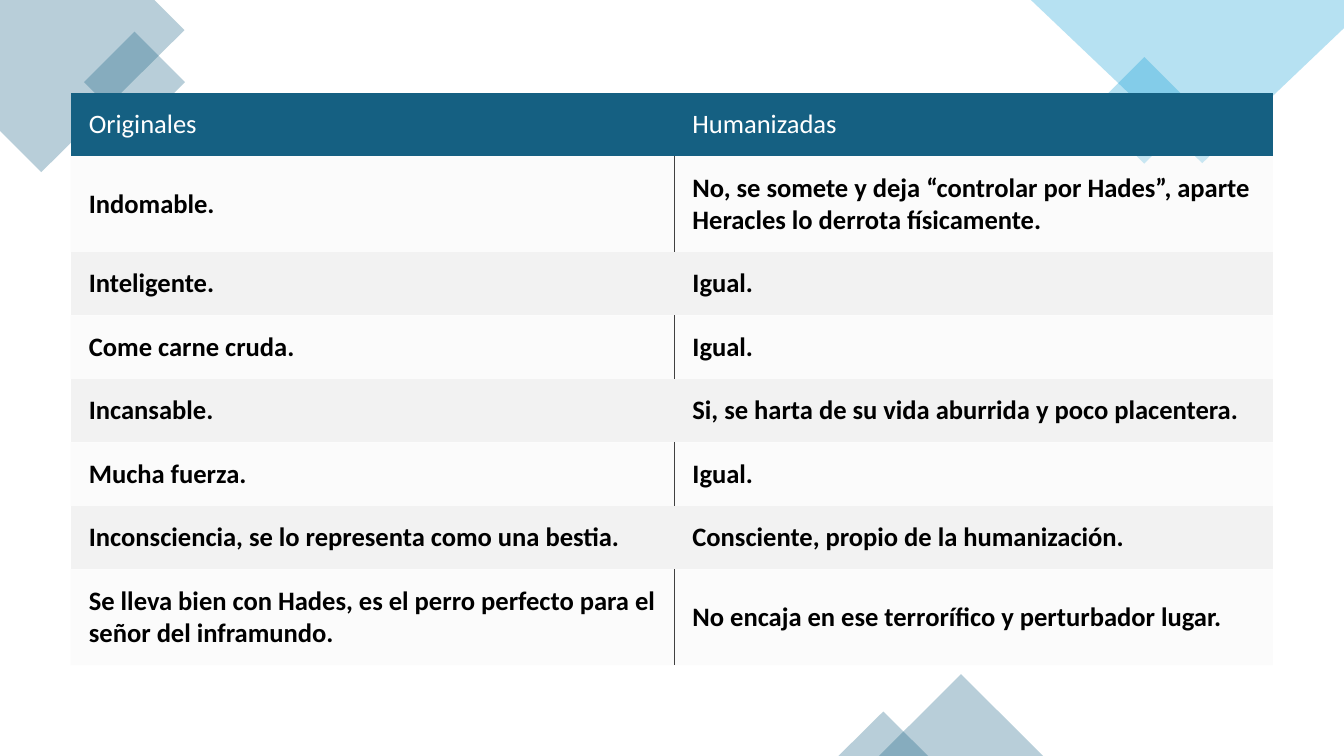
from lxml import etree
from pptx import Presentation
from pptx.dml.color import RGBColor
from pptx.enum.shapes import MSO_SHAPE
from pptx.enum.text import MSO_ANCHOR
from pptx.oxml.ns import qn
from pptx.util import Cm, Pt

RECTANGLE = MSO_SHAPE.RECTANGLE
TRIANGLE = MSO_SHAPE.ISOSCELES_TRIANGLE
MIDDLE = MSO_ANCHOR.MIDDLE

TEAL = RGBColor(0x15, 0x60, 0x82)
SKY = RGBColor(0x0F, 0x9E, 0xD5)
GREY = RGBColor(0xF2, 0xF2, 0xF2)
DARK = RGBColor(0x40, 0x40, 0x40)
WHITE = RGBColor(0xFF, 0xFF, 0xFF)
BLACK = RGBColor(0, 0, 0)

NO_STYLE = "{2D5ABB26-0587-4C30-8999-92F81FD0307C}"
ALPHA = "30000"

ROWS = [
    ("Originales", "Humanizadas"),
    ("Indomable.", "No, se somete y deja “controlar por Hades”, aparte Heracles lo derrota físicamente."),
    ("Inteligente.", "Igual."),
    ("Come carne cruda.", "Igual."),
    ("Incansable.", "Si, se harta de su vida aburrida y poco placentera."),
    ("Mucha fuerza.", "Igual."),
    ("Inconsciencia, se lo representa como una bestia.", "Consciente, propio de la humanización."),
    ("Se lleva bien con Hades, es el perro perfecto para el señor del inframundo.",
     "No encaja en ese terrorífico y perturbador lugar."),
]
COLUMN_WIDTHS = (15.21, 15.09)
ROW_HEIGHT, TALL_ROW_HEIGHT = 1.6, 2.41
TALL_ROWS = (1, 7)


def set_format(target, values):
    for name, value in values.items():
        setattr(target, name, value)


class SlideBuilder:
    cell_format = {
        "vertical_anchor": MIDDLE,
        "margin_left": Cm(0.46),
        "margin_top": Cm(0.35),
        "margin_right": 0,
        "margin_bottom": Cm(0.35),
    }
    font_format = {"name": "Calibri", "size": Pt(19)}

    def __init__(self, s):
        self.s = s

    def fill(self, target, color, translucent):
        target.fill.solid()
        target.fill.fore_color.rgb = color
        if translucent:
            for clr in target.fill._xPr.find(qn("a:solidFill")):
                etree.SubElement(clr, qn("a:alpha"), val=ALPHA)

    def decorate(self, sp, color):
        sp.shadow.inherit = False
        sp.line.fill.background()
        self.fill(sp, color, True)

    def shape(self, kind, left, top, width, height, color, rotation=0):
        sp = self.s.shapes.add_shape(kind, Cm(left), Cm(top), Cm(width), Cm(height))
        sp.rotation = rotation
        self.decorate(sp, color)

    def polygon(self, points, color):
        start, *rest = [(Cm(x), Cm(y)) for x, y in points]
        builder = self.s.shapes.build_freeform(*start)
        builder.add_line_segments(rest, close=True)
        self.decorate(builder.convert_to_shape(), color)

    def border(self, cell, side):
        ln = etree.SubElement(cell._tc.get_or_add_tcPr(), qn(f"a:ln{side}"), w=str(Pt(0.5)))
        solid = etree.SubElement(ln, qn("a:solidFill"))
        etree.SubElement(solid, qn("a:srgbClr"), val=str(DARK))

    def cell(self, cell, text, row, col):
        header, light = row == 0, row % 2 == 1
        set_format(cell, self.cell_format)
        if light:
            self.border(cell, "RL"[col])
        self.fill(cell, TEAL if header else GREY, light)
        p = cell.text_frame.paragraphs[0]
        r = p.add_run()
        r.text = text
        set_format(r.font, {**self.font_format, "bold": not header})
        r.font.color.rgb = WHITE if header else BLACK

    def table(self, left, top, rows):
        heights = [TALL_ROW_HEIGHT if i in TALL_ROWS else ROW_HEIGHT for i in range(len(rows))]
        table = self.s.shapes.add_table(
            len(rows), len(COLUMN_WIDTHS), Cm(left), Cm(top),
            Cm(sum(COLUMN_WIDTHS)), Cm(sum(heights))).table
        table.horz_banding = False
        table._tbl.tblPr.find(qn("a:tableStyleId")).text = NO_STYLE
        for column, width in zip(table.columns, COLUMN_WIDTHS):
            column.width = Cm(width)
        for i, (height, texts) in enumerate(zip(heights, rows)):
            table.rows[i].height = Cm(height)
            for j, text in enumerate(texts):
                self.cell(table.cell(i, j), text, i, j)


def main():
    prs = Presentation()
    prs.slide_width, prs.slide_height = Cm(33.87), Cm(19.05)
    slide = SlideBuilder(prs.slides.add_slide(prs.slide_layouts[6]))

    slide.polygon([(3.89, 0), (0, 0), (0, 3.3), (1.04, 4.34), (4.65, 0.76)], TEAL)
    slide.shape(RECTANGLE, 2.49, 1.17, 1.8, 1.8, TEAL, 315)
    slide.shape(RECTANGLE, 27.89, 1.83, 1.9, 1.9, SKY, 315)
    slide.polygon([(33.87, 0), (25.98, 0), (30.3, 4.11), (33.87, 0.71)], SKY)
    slide.shape(TRIANGLE, 22.15, 16.99, 4.14, 2.06, TEAL)
    slide.shape(TRIANGLE, 21.13, 17.93, 2.26, 1.12, TEAL)
    slide.table(1.78, 2.34, ROWS)

    prs.save("out.pptx")


if __name__ == "__main__":
    main()
